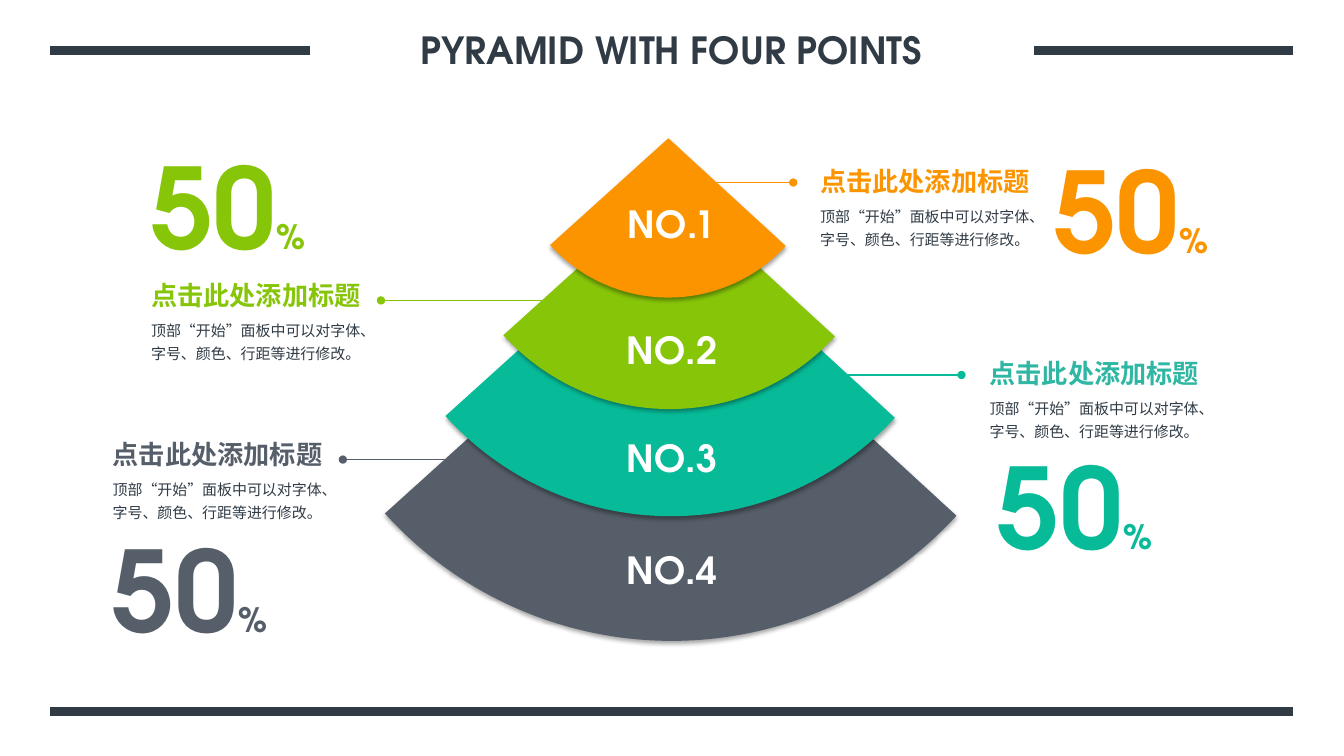
"""Build a slide with a four-tier pyramid and a callout for each tier."""
from pptx import Presentation
from pptx.dml.color import RGBColor
from pptx.enum.lang import MSO_LANGUAGE_ID
from pptx.enum.shapes import MSO_CONNECTOR, MSO_SHAPE
from pptx.enum.text import MSO_ANCHOR, PP_ALIGN
from pptx.oxml import parse_xml
from pptx.oxml.ns import nsdecls, qn
from pptx.util import Cm, Pt

COLORS = {"dark": "303B45", "orange": "FC9400", "green": "87C509", "teal": "07BA98",
          "teal_title": "2FB7A3", "slate": "565F69", "white": "FFFFFF"}
FONT = "TeX Gyre Adventor"
HEADING = "点击此处添加标题"
DETAIL = "顶部“开始”面板中可以对字体、字号、颜色、行距等进行修改。"
SHADOW = (f'<a:effectLst {nsdecls("a")}><a:outerShdw blurRad="39370" dist="22860" dir="5400000" '
          'algn="t" rotWithShape="0"><a:srgbClr val="000000"><a:alpha val="35000"/></a:srgbClr>'
          '</a:outerShdw></a:effectLst>')

prs = Presentation()
prs.slide_width, prs.slide_height = Cm(33.87), Cm(19.05)
slide = prs.slides.add_slide(prs.slide_layouts[6])


def add_line(x1, y, x2, color, width, dot=False):
    line = slide.shapes.add_connector(MSO_CONNECTOR.STRAIGHT, Cm(x1), Cm(y), Cm(x2), Cm(y))
    line.line.color.rgb = RGBColor.from_string(COLORS[color])
    line.line.width = Pt(width)
    if dot:
        line.line._get_or_add_ln().append(parse_xml(f'<a:tailEnd {nsdecls("a")} type="oval"/>'))
    line._element.spPr.append(parse_xml(f'<a:effectLst {nsdecls("a")}/>'))


def add_text(box, runs, color, bold=True, align=PP_ALIGN.LEFT, wrap=False, spacing=None):
    frame = slide.shapes.add_textbox(*map(Cm, box)).text_frame
    frame.word_wrap = wrap
    paragraph = frame.paragraphs[0]
    paragraph.alignment = align
    paragraph.line_spacing = spacing
    for text, size in runs:
        run = paragraph.add_run()
        run.text = text
        run.font.name, run.font.size, run.font.bold = FONT, Pt(size), bold
        run.font.color.rgb = RGBColor.from_string(COLORS[color])
        if not text.isascii():
            run.font.language_id = MSO_LANGUAGE_ID.SIMPLIFIED_CHINESE
    return frame


for start, y, end in [(1.27, 1.27, 7.8), (26.06, 1.27, 32.59), (1.27, 17.93, 32.59)]:
    add_line(start, y, end, "dark", 6)

title = add_text((7.8, 0.5, 18.26, 1.52), [("PYRAMID WITH FOUR POINTS", 26.7)], "dark",
                 align=PP_ALIGN.CENTER, wrap=True)
title.vertical_anchor = MSO_ANCHOR.MIDDLE

tiers = [("slate", 7.19, -3.33, 19.48), ("teal", 9.25, -2.31, 15.32),
         ("green", 11.23, -0.99, 11.3), ("orange", 12.83, -0.53, 8.03)]
for color, left, top, diameter in tiers:
    tier = slide.shapes.add_shape(MSO_SHAPE.PIE, Cm(left), Cm(top), Cm(diameter), Cm(diameter))
    tier.adjustments[0], tier.adjustments[1] = 25.529, 82.745
    tier.fill.solid()
    tier.fill.fore_color.rgb = RGBColor.from_string(COLORS[color])
    tier.line.fill.background()
    tier.shadow.inherit = False
    properties = tier._element.spPr
    properties.replace(properties.find(qn("a:effectLst")), parse_xml(SHADOW))

callouts = [
    ("orange", "orange", (20.42, 4.04), (17.5, 4.6, 19.99), (26.26, 3.45), PP_ALIGN.RIGHT),
    ("teal", "teal_title", (24.69, 8.87), (20.73, 9.45, 24.23), (24.84, 10.9), PP_ALIGN.RIGHT),
    ("green", "green", (3.56, 6.91), (13.92, 7.57, 9.6), (3.56, 3.35), PP_ALIGN.LEFT),
    ("slate", "slate", (2.59, 10.92), (11.63, 11.58, 8.64), (2.59, 13.0), PP_ALIGN.LEFT),
]
for color, heading_color, (left, top), leader, percent_at, align in callouts:
    add_text((left, top + 0.93, 6.05, 1.45), [(DETAIL, 10.7)], "dark",
             bold=False, wrap=True, spacing=1.3)
    add_text((left, top, 5.82, 1.07), [(HEADING, 18.7)], heading_color)
    add_line(*leader, color, 1, dot=True)
    add_text((*percent_at, 4.45, 3.68), [("50", 80), ("%", 24)], color, align=align)

for number, top in enumerate([4.95, 8.13, 10.85, 13.67], start=1):
    add_text((15.52, top, 2.82, 1.4), [(f"NO.{number}", 26.7)], "white", align=PP_ALIGN.CENTER)

prs.save("out.pptx")
